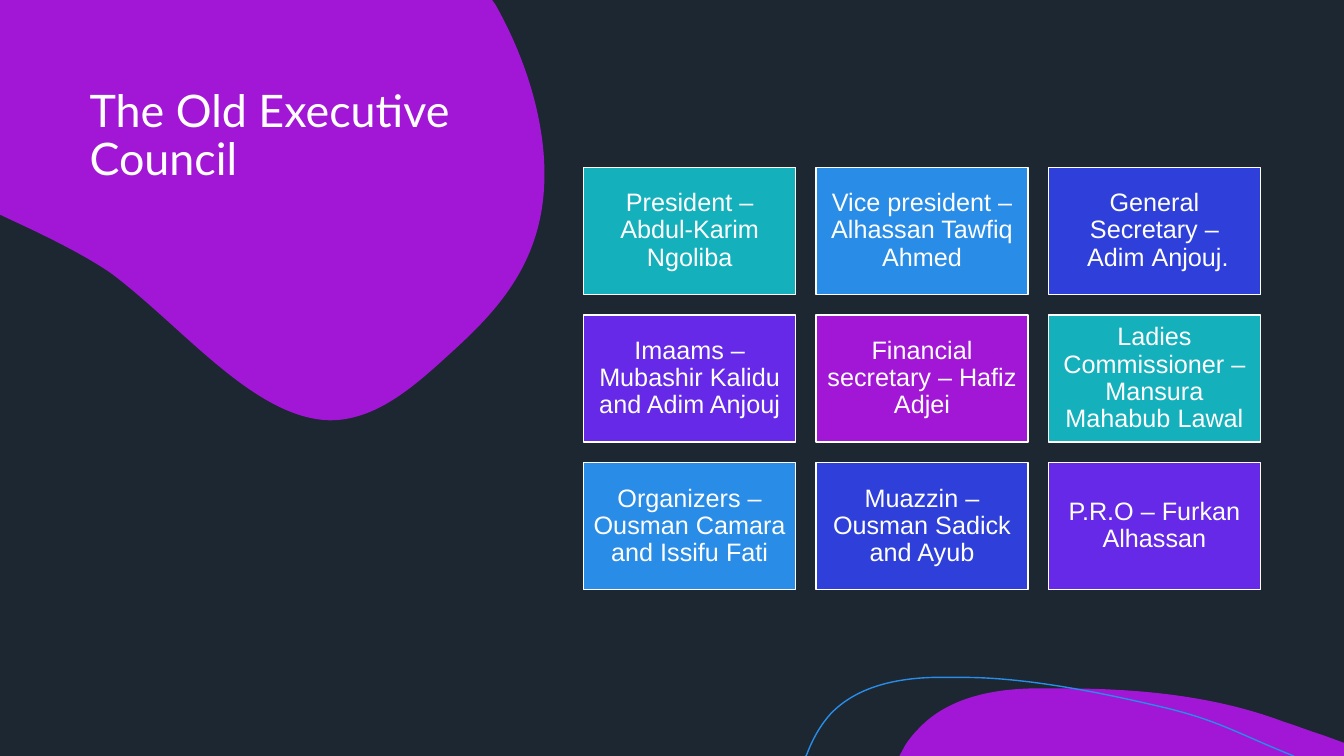
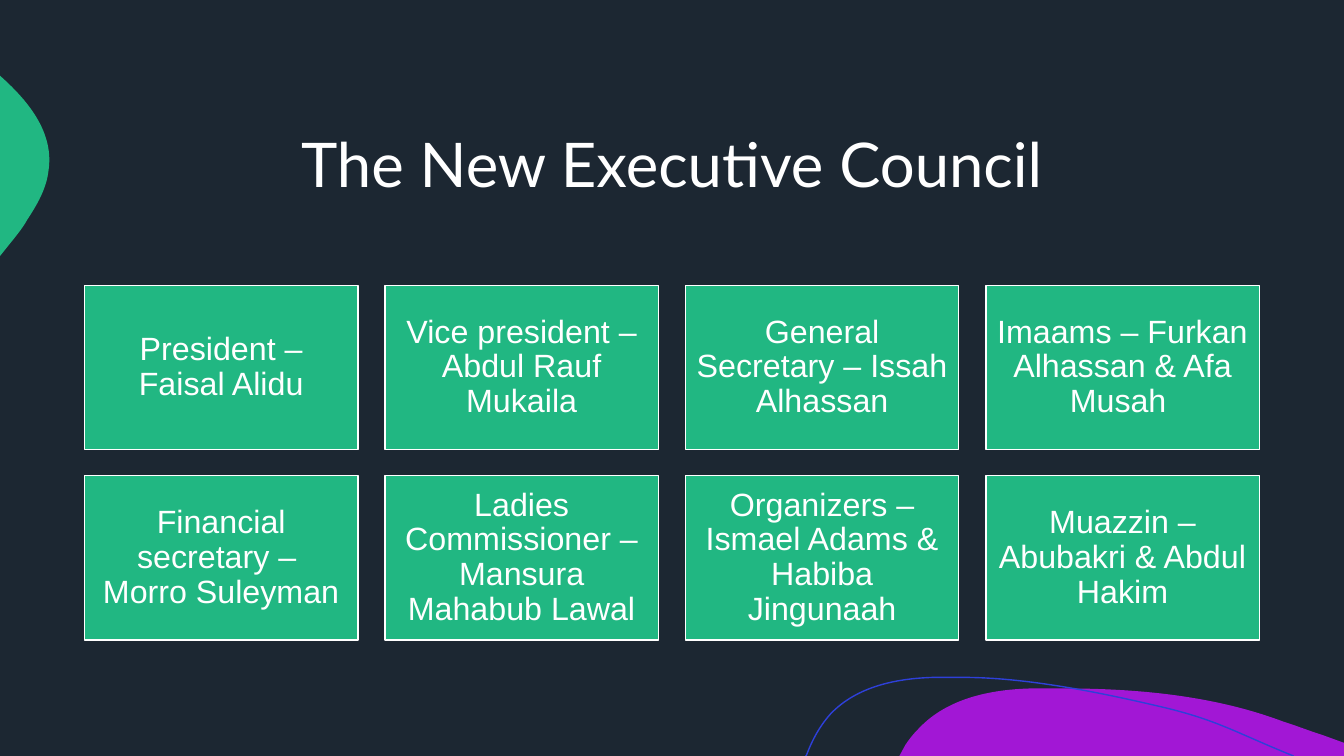
from lxml import etree
from pptx import Presentation
from pptx.dml.color import RGBColor
from pptx.enum.shapes import MSO_SHAPE
from pptx.enum.text import MSO_ANCHOR, PP_ALIGN
from pptx.oxml.ns import qn
from pptx.util import Emu, Pt

PX = 9144  # 100 px to the inch
WIDE, HIGH = 1333, 750
NBSP = chr(160)

NAVY = RGBColor(0x1C, 0x27, 0x32)
WHITE = RGBColor(0xFF, 0xFF, 0xFF)
GREEN = RGBColor(0x21, 0xB7, 0x82)
TEAL = RGBColor(0x14, 0xB1, 0xBC)
SKY = RGBColor(0x29, 0x8C, 0xE7)
BLUE = RGBColor(0x2E, 0x40, 0xD9)
VIOLET = RGBColor(0x65, 0x29, 0xE7)
PURPLE = RGBColor(0xA2, 0x17, 0xD5)
CYCLE = [TEAL, SKY, BLUE, VIOLET, PURPLE]

RECT = MSO_SHAPE.RECTANGLE
LEFT, CENTER = PP_ALIGN.LEFT, PP_ALIGN.CENTER
TOP, MIDDLE = MSO_ANCHOR.TOP, MSO_ANCHOR.MIDDLE

# Outlines: a pair is a line's end, six numbers are a Bezier curve.
BLOB = [
    (0, 0), (488, 0), (491, 4), (523, 60, 545, 131, 539, 194),
    (532, 270, 486, 315, 444, 353), (409, 385, 372, 417, 327, 417),
    (252, 415, 182, 325, 110, 271), (88, 256, 61, 242, 32, 228),
    (0, 213), (0, 0),
]
BUMP = [
    (0, 75), (1, 76), (30, 102, 54, 133, 48, 170),
    (46, 187, 37, 203, 27, 218), (24, 224, 17, 233, 8, 244), (0, 254),
]
HILL = [
    (1054, 683), (1128, 683, 1204, 690, 1273, 716),
    (1286, 720, 1298, 725, 1311, 729), (1333, 737), (1333, 750),
    (892, 750), (898, 739), (902, 733, 906, 728, 911, 723),
    (939, 693, 982, 684, 1023, 683), (1033, 683, 1043, 683, 1054, 683),
]
ARC = [
    (799, 750), (800, 749), (806, 733, 814, 719, 824, 708),
    (850, 681, 889, 673, 926, 672), (955, 672),
    (1022, 672, 1100, 689, 1155, 702), (1209, 715, 1226, 727, 1283, 750),
]

OLD = [
    "President – Abdul-Karim Ngoliba",
    "Vice president – Alhassan Tawfiq Ahmed",
    f"General Secretary –{NBSP}Adim{NBSP}Anjouj.",
    "Imaams – Mubashir Kalidu and Adim Anjouj",
    "Financial secretary – Hafiz Adjei",
    "Ladies Commissioner – Mansura Mahabub Lawal",
    "Organizers – Ousman Camara and Issifu Fati",
    f"Muazzin – Ousman{NBSP}Sadick and Ayub",
    "P.R.O – Furkan Alhassan",
]
NEW = [
    "President – Faisal Alidu",
    "Vice president – Abdul Rauf Mukaila",
    f"General Secretary –{NBSP}Issah Alhassan",
    "Imaams – Furkan Alhassan & Afa Musah ",
    f"Financial secretary –{NBSP} Morro Suleyman",
    "Ladies Commissioner – Mansura Mahabub Lawal",
    "Organizers – Ismael Adams & Habiba Jingunaah",
    "Muazzin – Abubakri & Abdul Hakim",
]


def emu(*sizes):
    return [Emu(round(size * PX)) for size in sizes]


def bend(shape, parts):
    """Turn the straight segments that stand for curves into Beziers."""
    lines = list(shape._element.iter(qn("a:lnTo")))
    for line, part in zip(lines, parts):
        if len(part) == 2:
            continue
        line.tag = qn("a:cubicBezTo")
        for i in (0, 1):
            x, y = emu(*part[2 * i:2 * i + 2])
            spot = etree.Element(qn("a:pt"), x=str(x - shape.left),
                                 y=str(y - shape.top))
            line.insert(i, spot)


def write(shape, text, size=18, font="Arial", align=CENTER, anchor=MIDDLE,
          inset=(7, 7)):
    frame = shape.text_frame
    frame.word_wrap = True
    frame.vertical_anchor = anchor
    frame.margin_left, frame.margin_top = emu(*inset)
    frame.margin_right, frame.margin_bottom = emu(*inset)
    para = frame.paragraphs[0]
    para.alignment = align
    para.line_spacing = 0.9
    run = para.add_run()
    run.text = text
    run.font.size = Pt(size)
    run.font.name = font
    run.font.color.rgb = WHITE


class Deck:
    def __init__(self):
        self.prs = Presentation()
        self.prs.slide_width, self.prs.slide_height = emu(WIDE, HIGH)

    def page(self):
        self.slide = self.prs.slides.add_slide(self.prs.slide_layouts[6])
        fill = self.slide.background.fill
        fill.solid()
        fill.fore_color.rgb = NAVY
        self.shapes = self.slide.shapes

    def paint(self, shape, fill=None, line=None):
        shape.shadow.inherit = False
        if fill is None:
            shape.fill.background()
        else:
            shape.fill.solid()
            shape.fill.fore_color.rgb = fill
        if line is None:
            shape.line.fill.background()
        else:
            shape.line.color.rgb = line
            shape.line.width = Pt(1)

    def rect(self, box, fill, line=None):
        shape = self.shapes.add_shape(RECT, *emu(*box))
        self.paint(shape, fill, line)
        return shape

    def curve(self, parts, fill=None, line=None):
        first, *ends = [emu(*part[-2:]) for part in parts]
        pen = self.shapes.build_freeform(*first)
        pen.add_line_segments(ends, close=fill is not None)
        shape = pen.convert_to_shape()
        bend(shape, parts[1:])
        self.paint(shape, fill, line)

    def wave(self, line):
        self.curve(HILL, fill=PURPLE)
        self.curve(ARC, line=line)

    def title(self, text, box, **style):
        shape = self.shapes.add_textbox(*emu(*box))
        write(shape, text, font="Lato", inset=(10, 5), **style)

    def grid(self, texts, box, cell, cols, fills, **style):
        """Spread equal cells so that they reach all edges of the box."""
        left, top, wide, high = box
        rows = len(texts) // cols
        across = (wide - cell[0]) / (cols - 1)
        down = (high - cell[1]) / (rows - 1)
        for i, text in enumerate(texts):
            row, col = divmod(i, cols)
            place = (left + col * across, top + row * down, *cell)
            shape = self.rect(place, fills[i % len(fills)], WHITE)
            write(shape, text, **style)


def main():
    deck = Deck()

    deck.page()
    deck.rect((0, 0, WIDE, HIGH), NAVY)
    deck.curve(BLOB, fill=PURPLE)
    deck.title("The Old Executive Council", (79, 83, 421, 250),
               size=32, align=LEFT, anchor=TOP)
    deck.wave(SKY)
    deck.grid(OLD, (579, 166, 671, 419), (210, 126), 3, CYCLE)

    deck.page()
    deck.curve(BUMP, fill=GREEN)
    deck.wave(BLUE)
    deck.title("The New Executive Council", (83, 83, 1167, 167), size=44)
    deck.grid(NEW, (84, 283, 1165, 352), (271, 163), 4, [GREEN],
              size=23, inset=(10, 10))

    deck.prs.save("out.pptx")


if __name__ == "__main__":
    main()
